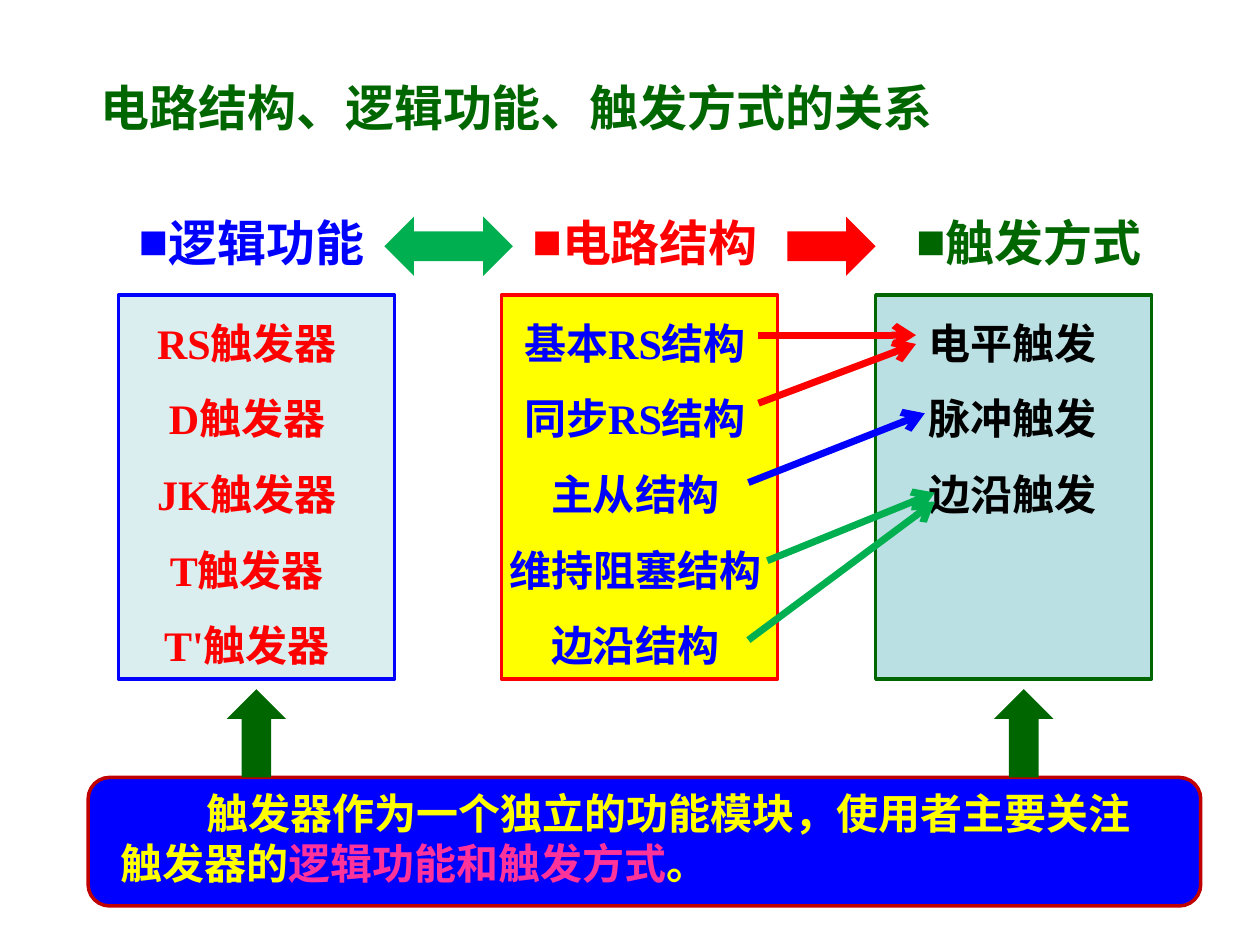
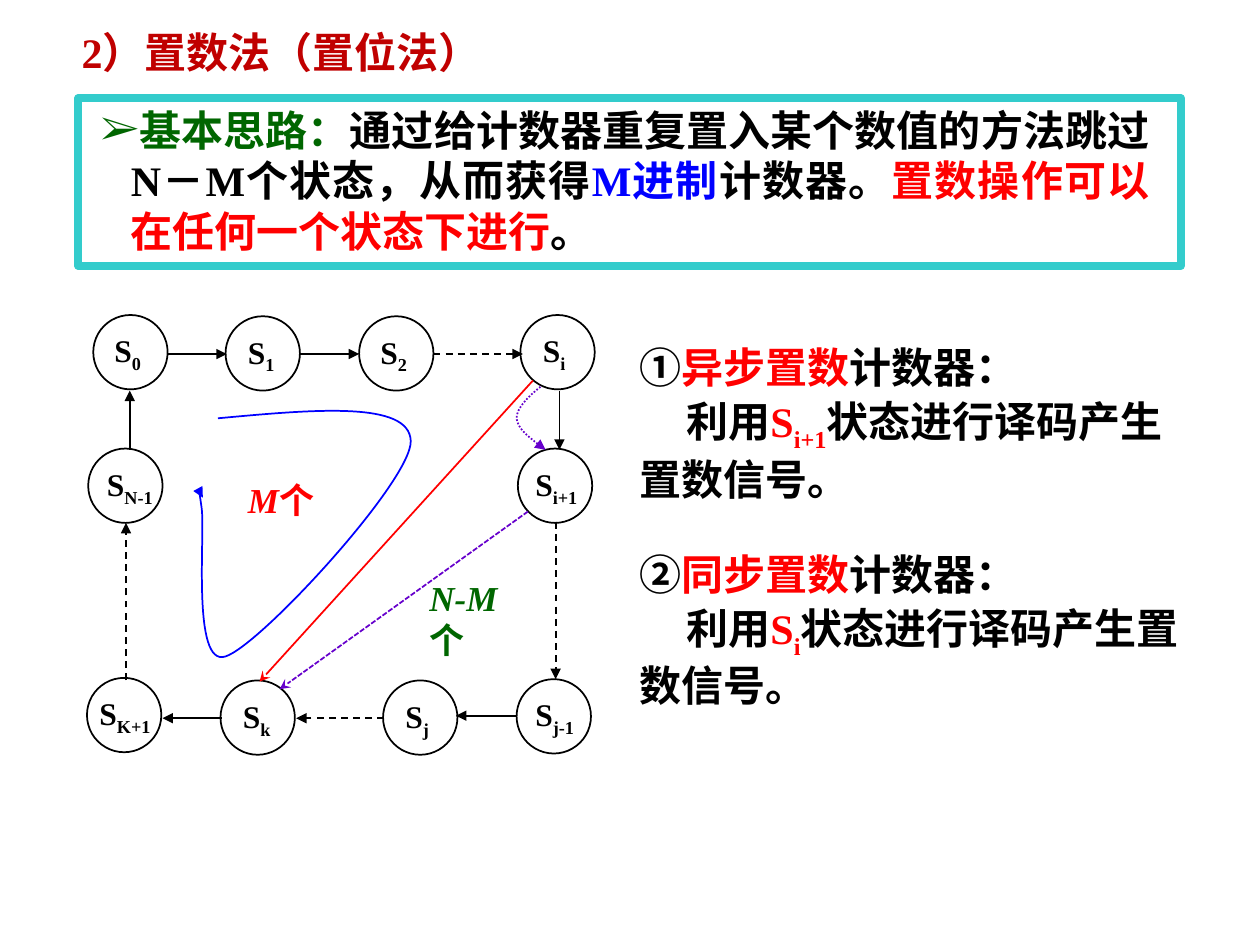
from dataclasses import dataclass

from lxml.etree import SubElement
from pptx import Presentation
from pptx.dml.color import RGBColor
from pptx.enum.dml import MSO_LINE
from pptx.enum.shapes import MSO_CONNECTOR, MSO_SHAPE
from pptx.enum.text import MSO_AUTO_SIZE, PP_ALIGN
from pptx.oxml.ns import qn
from pptx.util import Inches, Pt


@dataclass(frozen=True)
class Theme:
    """Colours, fonts and sizes shared by the slides."""
    black: str = "000000"
    white: str = "FFFFFF"
    red: str = "FF0000"
    blue: str = "0000FF"
    green: str = "006600"
    leaf: str = "00B050"
    yellow: str = "FFFF00"
    crimson: str = "C00000"
    pink: str = "FF3399"
    purple: str = "6600CC"
    turquoise: str = "33CCCC"
    pale: str = "DAEDEF"
    mist: str = "BBE0E3"
    latin: str = "Times New Roman"
    chinese: str = "Noto Sans CJK SC"
    heading: int = 28
    body: int = 24
    region: int = 20
    state: int = 18


THEME = Theme()


@dataclass
class Para:
    """A paragraph whose runs are (text, colour, optional style)."""
    runs: list
    align: PP_ALIGN = PP_ALIGN.LEFT
    spacing: float = 1.0
    before: float = 0
    margin: float = 0
    indent: float = 0
    bullet: str = ""


def rgb(colour):
    """Turn a theme colour into an RGBColor."""
    return RGBColor.from_string(colour)


def add_run(paragraph, size, text, colour, style=""):
    """Add one bold run, optionally italic or subscript."""
    run = paragraph.add_run()
    run.text = text
    font = run.font
    font.size, font.bold, font.name = Pt(size), True, THEME.latin
    font.italic = style == "italic"
    font.color.rgb = rgb(colour)
    props = run._r.get_or_add_rPr()
    SubElement(props, qn("a:ea"), typeface=THEME.chinese)
    if style == "sub":
        props.set("baseline", "-25000")


def add_text(slide, left, top, width, height, paras, size=THEME.body, wrap=True):
    """Add a text box made of Para items."""
    box = slide.shapes.add_textbox(Inches(left), Inches(top), Inches(width), Inches(height))
    frame = box.text_frame
    frame.word_wrap = wrap
    frame.auto_size = MSO_AUTO_SIZE.SHAPE_TO_FIT_TEXT
    for index, para in enumerate(paras):
        paragraph = frame.add_paragraph() if index else frame.paragraphs[0]
        paragraph.alignment = para.align
        paragraph.line_spacing = para.spacing
        paragraph.space_before = Pt(para.before)
        props = paragraph._p.get_or_add_pPr()
        props.set("marL", str(Inches(para.margin)))
        props.set("indent", str(Inches(para.indent)))
        if para.bullet:
            SubElement(props, qn("a:buFont"), typeface=THEME.latin)
            SubElement(props, qn("a:buChar"), char=para.bullet)
        for run in para.runs:
            add_run(paragraph, size, *run)


def add_block(slide, kind, left, top, width, height, fill=None, outline=None, weight=1):
    """Add a preset shape without shadow."""
    block = slide.shapes.add_shape(
        kind, Inches(left), Inches(top), Inches(width), Inches(height))
    block.shadow.inherit = False
    if fill:
        block.fill.solid()
        block.fill.fore_color.rgb = rgb(fill)
    else:
        block.fill.background()
    if outline:
        block.line.color.rgb = rgb(outline)
        block.line.width = Pt(weight)
    else:
        block.line.fill.background()


def style_stroke(stroke, colour, weight, dash, head):
    """Style a line and put an arrowhead at its end."""
    stroke.line.color.rgb = rgb(colour)
    stroke.line.width = Pt(weight)
    if dash:
        stroke.line.dash_style = dash
    SubElement(stroke._element.spPr.find(qn("a:ln")), qn("a:tailEnd"), type=head)


def add_arrow(slide, start, end, colour=THEME.black, weight=1, dash=None, head="triangle"):
    """Add a straight arrow from start to end."""
    arrow = slide.shapes.add_connector(
        MSO_CONNECTOR.STRAIGHT, *(Inches(value) for value in (*start, *end)))
    style_stroke(arrow, colour, weight, dash, head)
    SubElement(arrow._element.spPr, qn("a:effectLst"))


def add_curve(slide, points, colour, dash=None):
    """Add an arrow of cubic curves: a start, then three points per curve."""
    start, *controls = [(Inches(x), Inches(y)) for x, y in points]
    builder = slide.shapes.build_freeform(*start)
    builder.add_line_segments(controls, close=False)
    curve = builder.convert_to_shape()
    curve.shadow.inherit = False
    curve.fill.background()
    outline = curve._element.spPr.find(".//" + qn("a:path"))
    steps = outline.findall(qn("a:lnTo"))
    for first in range(0, len(steps), 3):
        cubic = SubElement(outline, qn("a:cubicBezTo"))
        for step in steps[first:first + 3]:
            cubic.append(step[0])
            outline.remove(step)
    style_stroke(curve, colour, 1, dash, "triangle")


def add_card(slide, left, fill, outline):
    """Add the panel behind one column of terms."""
    add_block(slide, MSO_SHAPE.RECTANGLE, left, 2.34, 2.19, 3.05, fill, outline, 2)


def add_terms(slide, left, width, terms, colour, align=PP_ALIGN.CENTER):
    """Add the widely spaced terms of one column."""
    add_text(slide, left, 2.27, width, 3.04,
             [Para([(term, colour)], align, 1.5) for term in terms])


def add_heading(slide, left, width, text, colour):
    """Add the bulleted heading above one column."""
    add_text(slide, left, 1.64, width, 0.57,
             [Para([(text, colour)], PP_ALIGN.CENTER, bullet="■")], THEME.heading)


def add_state(slide, index, left, top, label_shift, label_width):
    """Add a counter state: a circle and its subscripted label."""
    add_block(slide, MSO_SHAPE.OVAL, left, top, 0.59, 0.59, THEME.white, THEME.black)
    label = Para([("S", THEME.black), (index, THEME.black, "sub")])
    add_text(slide, left + label_shift, top + 0.08, label_width, 0.4,
             [label], THEME.state, wrap=False)


def add_method(slide, top, number, name, index):
    """Add one preset method with the state it decodes."""
    add_text(slide, 4.98, top, 4.49, 1.35, [
        Para([(number, THEME.black), (name, THEME.red), ("计数器：", THEME.black)]),
        Para([("利用", THEME.black), ("S", THEME.red), (index, THEME.red, "sub"),
              ("状态进行译码产生置数信号。", THEME.black)], before=2.4, indent=0.37),
    ])


def build_relations(slide):
    """Relate structure, function and trigger mode of flip-flops."""
    t = THEME
    add_card(slide, 3.98, t.yellow, t.red)
    add_terms(slide, 3.83, 2.42,
              ["基本RS结构", "同步RS结构", "主从结构", "维持阻塞结构", "边沿结构"], t.blue)
    add_card(slide, 0.94, t.pale, t.blue)
    add_terms(slide, 1.02, 1.88, [kind + "触发器" for kind in ("RS", "D", "JK", "T", "T'")], t.red)
    add_card(slide, 6.95, t.mist, t.green)
    add_terms(slide, 7.27, 1.64, ["电平触发", "脉冲触发", "边沿触发"], t.black, PP_ALIGN.JUSTIFY)

    add_heading(slide, 3.91, 2.42, "电路结构", t.red)
    add_heading(slide, 0.86, 2.27, "逻辑功能", t.blue)
    add_heading(slide, 7.03, 2.27, "触发方式", t.green)
    add_text(slide, 0.7, 0.57, 8.36, 0.57,
             [Para([("电路结构、逻辑功能、触发方式的关系", t.green)])], t.heading)
    add_block(slide, MSO_SHAPE.RIGHT_ARROW, 6.25, 1.72, 0.7, 0.47, t.red)
    add_block(slide, MSO_SHAPE.LEFT_RIGHT_ARROW, 3.05, 1.72, 1.02, 0.47, t.leaf)

    for start, end, colour in [
        ((6.02, 2.66), (7.27, 2.66), t.red),
        ((6.02, 3.2), (7.27, 2.73), t.red),
        ((5.94, 3.83), (7.34, 3.28), t.blue),
        ((6.09, 4.45), (7.42, 3.91), t.leaf),
        ((5.94, 5.08), (7.42, 3.98), t.leaf),
    ]:
        add_arrow(slide, start, end, colour, 4, head="arrow")

    add_block(slide, MSO_SHAPE.ROUNDED_RECTANGLE, 0.7, 6.17, 8.83, 1.02, t.blue, t.crimson, 2)
    add_text(slide, 0.86, 6.2, 8.52, 0.91, [Para([
        ("触发器作为一个独立的功能模块，使用者主要关注触发器的", t.yellow),
        ("逻辑功能和触发方式", t.pink), ("。", t.yellow)], indent=0.68)])
    for left in (1.8, 7.89):
        add_block(slide, MSO_SHAPE.UP_ARROW, left, 5.47, 0.47, 0.7, t.green)


def build_preset_method(slide):
    """Explain the preset method with a state diagram."""
    t = THEME
    add_text(slide, 0.55, 0.16, 7.48, 0.51, [Para([("2）置数法（置位法）", t.crimson)])])
    add_method(slide, 2.66, "①", "异步置数", "i+1")
    add_method(slide, 4.3, "②", "同步置数", "i")
    add_text(slide, 3.31, 4.53, 0.9, 0.44,
             [Para([("N-M", t.green, "italic"), ("个", t.green)])], t.region)

    for state in [
        ("0", 0.74, 2.5, 0.07, 0.43),
        ("1", 1.79, 2.51, 0.08, 0.43),
        ("2", 2.85, 2.51, 0.07, 0.43),
        ("i", 4.13, 2.5, 0.08, 0.39),
        ("i+1", 4.11, 3.56, 0.04, 0.57),
        ("j-1", 4.1, 5.39, 0.05, 0.54),
        ("j", 3.04, 5.4, 0.08, 0.4),
        ("k", 1.75, 5.4, 0.08, 0.44),
        ("K+1", 0.69, 5.38, 0, 0.65),
        ("N-1", 0.7, 3.56, 0.05, 0.6),
    ]:
        add_state(slide, *state)

    for start, end in [
        ((1.33, 2.81), (1.8, 2.81)),
        ((2.38, 2.81), (2.85, 2.81)),
        ((4.44, 3.1), (4.44, 3.57)),
        ((4.1, 5.68), (3.62, 5.68)),
        ((1.76, 5.7), (1.29, 5.7)),
        ((1.03, 3.57), (1.03, 3.1)),
    ]:
        add_arrow(slide, start, end)
    for start, end in [
        ((3.44, 2.81), (4.15, 2.81)),
        ((4.41, 4.14), (4.41, 5.39)),
        ((3.05, 5.7), (2.35, 5.7)),
        ((1, 5.4), (1, 4.15)),
    ]:
        add_arrow(slide, start, end, dash=MSO_LINE.DASH)

    add_curve(slide, [(4.29, 3.07), (4.19, 3.15), (4.1, 3.24), (4.1, 3.32),
                      (4.11, 3.4), (4.22, 3.49), (4.33, 3.57)], t.purple, MSO_LINE.ROUND_DOT)
    add_arrow(slide, (4.19, 4.06), (2.22, 5.47), t.purple,
              dash=MSO_LINE.SQUARE_DOT, head="stealth")
    add_arrow(slide, (4.23, 3.02), (2.06, 5.41), t.red, head="stealth")
    add_text(slide, 1.87, 3.75, 0.83, 0.44,
             [Para([("M", t.red, "italic"), ("个", t.red)])], t.region)
    add_curve(slide, [(1.73, 3.32), (2.49, 3.25), (3.25, 3.18), (3.26, 3.5),
                      (3.27, 3.81), (2.07, 5.12), (1.79, 5.21),
                      (1.52, 5.3), (1.63, 4.24), (1.6, 4.03),
                      (1.57, 3.82), (1.59, 3.89), (1.61, 3.95)], t.blue)

    add_text(slide, 0.7, 0.78, 8.52, 1.31, [Para([
        ("基本思路：", t.green),
        ("通过给计数器重复置入某个数值的方法跳过N－M个状态，从而获得", t.black),
        ("M进制", t.blue), ("计数器。", t.black),
        ("置数操作可以在任何一个状态下进行", t.red), ("。", t.black),
    ], PP_ALIGN.JUSTIFY, margin=0.24, indent=-0.24, bullet="➢")])
    add_block(slide, MSO_SHAPE.RECTANGLE, 0.62, 0.78, 8.75, 1.33, None, t.turquoise, 4.5)


def main():
    """Build both slides and save them."""
    deck = Presentation()
    deck.slide_width, deck.slide_height = Inches(10), Inches(7.5)
    for build in (build_relations, build_preset_method):
        build(deck.slides.add_slide(deck.slide_layouts[6]))
    deck.save("out.pptx")


if __name__ == "__main__":
    main()
